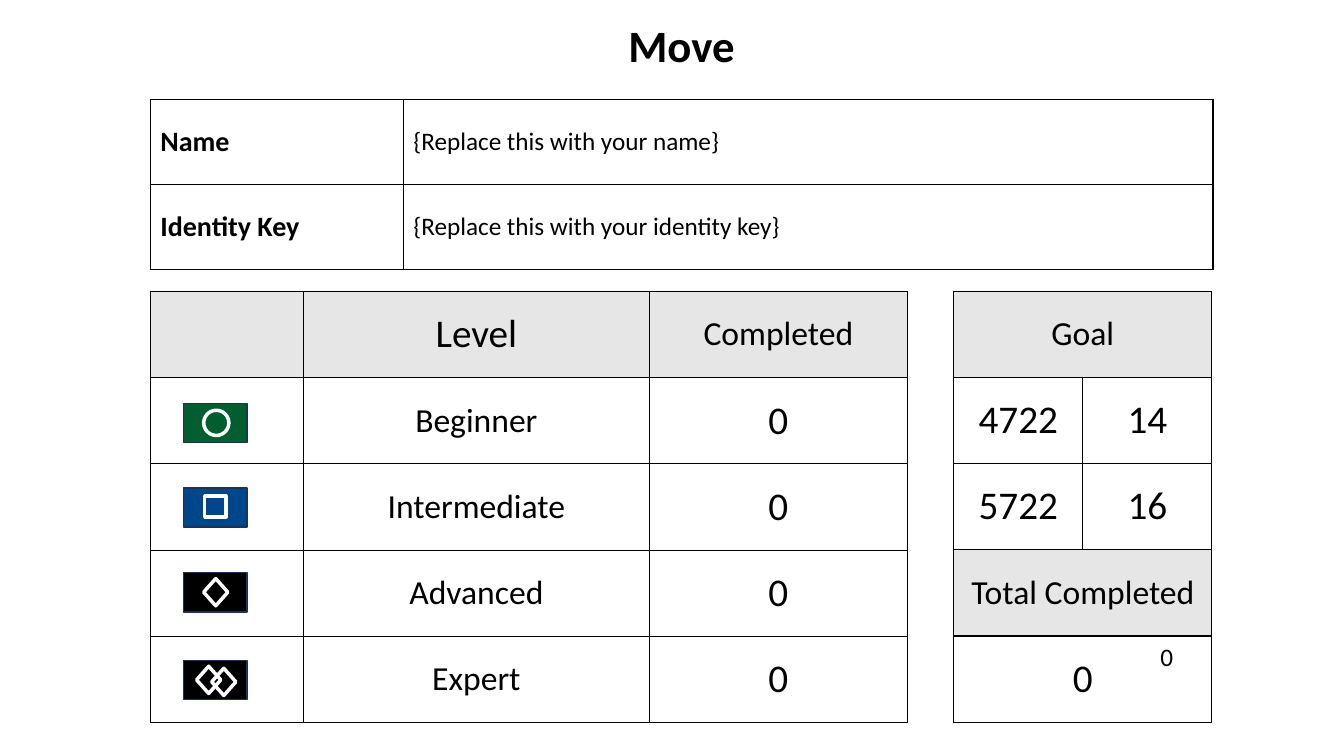
import pptx
import pptx.util
import pptx.oxml
import pptx.oxml.ns
from pptx.dml.color import RGBColor
from pptx.enum.shapes import MSO_SHAPE
from pptx.enum.text import MSO_ANCHOR, MSO_AUTO_SIZE, PP_ALIGN

PX = 9144  # EMU per px, 100 px to the inch
FONT = "Calibri"
COLORS = {
    "text": "000000", "border": "000000", "header": "E7E6E6",
    "green": "035E2F", "blue": "00468B", "black": "000000",
    "tile_line": "1E3256", "mark": "FFFFFF",
}

# Text formats
TITLE = {"size": 32, "bold": True}
LABEL = {"size": 20, "bold": True}
ENTRY = {"size": 18, "bold": False}
HEADING = {"size": 28, "bold": False}
CAPTION = {"size": 24, "bold": False}
NUMBER = {"size": 28, "bold": False}


def emu(*lengths):
    return [pptx.util.Emu(length * PX) for length in lengths]


def rgb(name):
    return RGBColor.from_string(COLORS[name])


def write(tf, text, style, align):
    p = tf.paragraphs[0]
    p.alignment = align
    r = p.add_run()
    r.text = text
    values = {**style, "size": pptx.util.Pt(style["size"]), "name": FONT}
    for name, value in values.items():
        setattr(r.font, name, value)
    r.font.color.rgb = rgb("text")


def add_text(s, box, text, style, align):
    tf = s.shapes.add_textbox(*emu(*box)).text_frame
    tf.word_wrap = True
    tf.auto_size = MSO_AUTO_SIZE.NONE
    write(tf, text, style, align)


def add_borders(cell):
    tc_pr = cell._tc.get_or_add_tcPr()
    for i, side in enumerate(("lnL", "lnR", "lnT", "lnB")):
        tc_pr.insert(i, pptx.oxml.parse_xml(
            f'<a:{side} {pptx.oxml.ns.nsdecls("a")} w="12700"><a:solidFill>'
            f'<a:srgbClr val="{COLORS["border"]}"/></a:solidFill></a:{side}>'))


def add_grid(s, box, widths, rows, align=PP_ALIGN.CENTER, header=True):
    """Equal-height rows of (text, style) cells; None leaves a cell empty."""
    table = s.shapes.add_table(len(rows), len(widths), *emu(*box)).table
    table.first_row = table.horz_banding = False
    for column, width in zip(table.columns, widths):
        column.width = emu(width)[0]
    for i, row in enumerate(rows):
        table.rows[i].height = box[3] * PX // len(rows)
        for j, content in enumerate(row):
            cell = table.cell(i, j)
            cell.vertical_anchor = MSO_ANCHOR.MIDDLE
            if header and i == 0:
                cell.fill.solid()
                cell.fill.fore_color.rgb = rgb("header")
            else:
                cell.fill.background()
            add_borders(cell)
            if content:
                write(cell.text_frame, *content, align)
    return table


def add_outlined(shapes, kind, box, fill, line, weight):
    shape = shapes.add_shape(kind, *emu(*box))
    shape.shadow.inherit = False
    if fill:
        shape.fill.solid()
        shape.fill.fore_color.rgb = rgb(fill)
    else:
        shape.fill.background()
    shape.line.color.rgb = rgb(line)
    shape.line.width = pptx.util.Pt(weight)


def add_badge(s, box, color, marks):
    """Coloured tile with white marks placed from its top left corner."""
    shapes = s.shapes.add_group_shape().shapes
    add_outlined(shapes, MSO_SHAPE.RECTANGLE, box, color, "tile_line", 1)
    for kind, (dx, dy, w, h), fill in marks:
        add_outlined(shapes, kind, (box[0] + dx, box[1] + dy, w, h), fill, "mark", 2.5)


def add_identity(s, box):
    rows = [
        [("Name", LABEL), ("{Replace this with your name}", ENTRY)],
        [("Identity Key", LABEL), ("{Replace this with your identity key}", ENTRY)],
    ]
    add_grid(s, box, (251, box[2] - 251), rows, PP_ALIGN.LEFT, header=False)


def add_levels(s, box):
    rows = [[None, ("Level", HEADING), ("Completed", CAPTION)]]
    for level in ("Beginner", "Intermediate", "Advanced", "Expert"):
        rows.append([None, (level, CAPTION), ("0", NUMBER)])
    add_grid(s, box, (152, 343, box[2] - 152 - 343), rows)

    # Difficulty badges in the first column
    diamond = MSO_SHAPE.DIAMOND
    badges = [
        (111, "green", [(MSO_SHAPE.OVAL, (20, 7, 25, 25), "green")]),
        (195, "blue", [(MSO_SHAPE.RECTANGLE, (21, 8, 21, 21), "blue")]),
        (279, "black", [(diamond, (20, 6, 24, 27), "black")]),
        (366, "black", [(diamond, (13, 6, 24, 27), "black"),
                        (diamond, (28, 8, 24, 27), None)]),
    ]
    for dy, color, marks in badges:
        add_badge(s, (box[0] + 33, box[1] + dy, 63, 39), color, marks)


def add_goals(s, box):
    x, y, w, h = box
    goal_h = h * 3 // 5
    rows = [[("Goal", CAPTION), None]]
    for steps, count in (("4722", "14"), ("5722", "16")):
        rows.append([(steps, NUMBER), (count, NUMBER)])
    goal = add_grid(s, (x, y, w, goal_h), (w // 2, w // 2), rows)
    goal.cell(0, 0).merge(goal.cell(0, 1))

    # Total below the goals
    add_grid(s, (x, y + goal_h, w, h - goal_h), (w,),
             [[("Total Completed", CAPTION)], [("0", NUMBER)]])
    add_text(s, (x + 195, y + 342, 133, 104), "0", ENTRY, PP_ALIGN.LEFT)


def main():
    prs = pptx.Presentation()
    prs.slide_width, prs.slide_height = emu(1333, 750)
    s = prs.slides.add_slide(prs.slide_layouts[6])
    add_text(s, (149, 13, 1054, 64), "Move", TITLE, PP_ALIGN.CENTER)
    add_identity(s, (149, 99, 1054, 168))
    add_levels(s, (149, 289, 751, 428))
    add_goals(s, (946, 289, 256, 428))
    prs.save("out.pptx")


if __name__ == "__main__":
    main()
